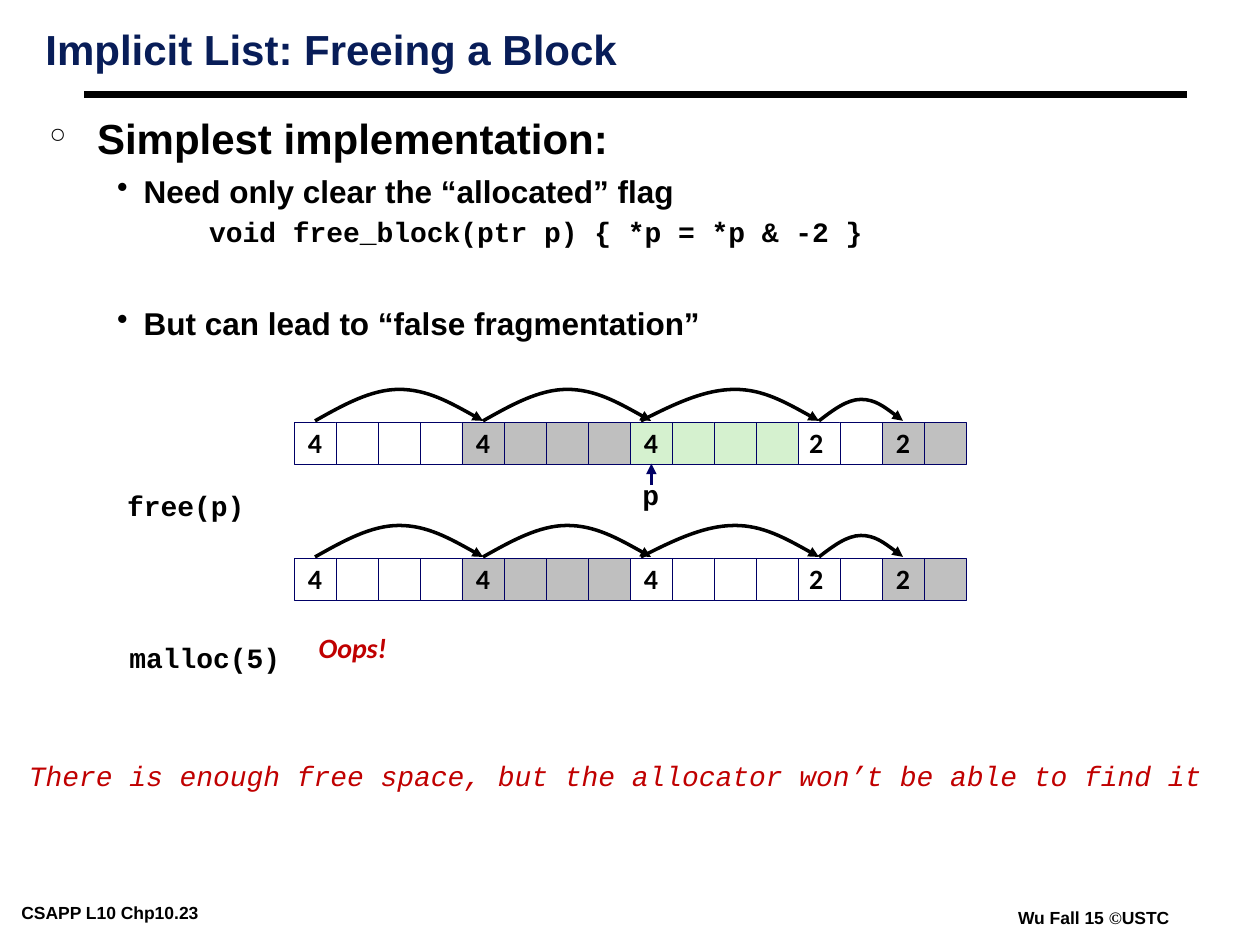
from dataclasses import dataclass

import pptx
import pptx.dml.color
import pptx.enum.shapes
import pptx.enum.text
import pptx.oxml
import pptx.oxml.ns
import pptx.oxml.xmlchemy
import pptx.util

Inches = pptx.util.Inches
Pt = pptx.util.Pt
RGBColor = pptx.dml.color.RGBColor
PP_ALIGN = pptx.enum.text.PP_ALIGN
MSO_ANCHOR = pptx.enum.text.MSO_ANCHOR
OxmlElement = pptx.oxml.xmlchemy.OxmlElement
qn = pptx.oxml.ns.qn


@dataclass(frozen=True)
class Theme:
    black: str = "000000"
    navy: str = "081D58"
    outline: str = "000066"
    red: str = "C00000"
    free: str = "FFFFFF"
    taken: str = "BFBFBF"
    last: str = "C0C0C0"
    freeing: str = "D5F1CF"
    sans: str = "Arial"
    mono: str = "Courier New"
    label: str = "Calibri"
    serif: str = "Times New Roman"
    heading: int = 24
    point: int = 18
    normal: int = 16
    footer: int = 10


THEME = Theme()
CELL = 1 / 3
ROW_LEFT = 7 / 3
TIGHT = (0.07, 0.03)
LOOSE = (0.1, 0.05)


def rgb(value):
    return RGBColor.from_string(value)


def style_run(run, font, size, color=THEME.black, bold=True, italic=False):
    run.font.name = font
    run.font.size = Pt(size)
    run.font.color.rgb = rgb(color)
    run.font.bold = bold
    run.font.italic = italic


def set_frame(frame, insets, wrap=False, anchor=MSO_ANCHOR.TOP):
    frame.margin_left = frame.margin_right = Inches(insets[0])
    frame.margin_top = frame.margin_bottom = Inches(insets[1])
    frame.auto_size = pptx.enum.text.MSO_AUTO_SIZE.NONE
    frame.word_wrap = wrap
    frame.vertical_anchor = anchor


def write_line(frame, text, font, size, spacing=1.0, align=PP_ALIGN.CENTER, **look):
    frame.text = text
    paragraph = frame.paragraphs[0]
    paragraph.alignment = align
    paragraph.line_spacing = spacing
    style_run(paragraph.runs[0], font, size, **look)


def add_label(shapes, box, text, font, size=THEME.normal, insets=LOOSE, **look):
    label = shapes.add_textbox(*map(Inches, box))
    set_frame(label.text_frame, insets)
    write_line(label.text_frame, text, font, size, **look)
    return label


def add_arrowhead(line):
    head = OxmlElement("a:tailEnd")
    head.set("type", "triangle")
    line._get_or_add_ln().append(head)


def add_line(shapes, start, end, color, width, arrow=False):
    connector = shapes.add_connector(
        pptx.enum.shapes.MSO_CONNECTOR.STRAIGHT, *map(Inches, start + end))
    connector.line.color.rgb = rgb(color)
    connector.line.width = Pt(width)
    if arrow:
        add_arrowhead(connector.line)
    connector._element.spPr.append(OxmlElement("a:effectLst"))


def add_cell(shapes, left, top, color, size_text=""):
    cell = shapes.add_shape(
        pptx.enum.shapes.MSO_SHAPE.RECTANGLE, *map(Inches, (left, top, CELL, CELL)))
    cell.shadow.inherit = False
    cell.fill.solid()
    cell.fill.fore_color.rgb = rgb(color)
    cell.line.color.rgb = rgb(THEME.outline)
    cell.line.width = Pt(0.25)
    if size_text:
        set_frame(cell.text_frame, LOOSE, anchor=MSO_ANCHOR.MIDDLE)
        write_line(cell.text_frame, size_text, THEME.label, THEME.normal, 0.98)


def add_hop(shapes, start, end, apex, base, rise):
    top, middle = base - rise, base - rise / 2
    up, down = (apex - start) / 3, (end - apex) / 3
    points = [(start + up, middle), (apex - up, top), (apex, top),
              (apex + down, top), (end - down, middle), (end, base)]
    builder = shapes.build_freeform(Inches(start), Inches(base))
    builder.add_line_segments([(Inches(x), Inches(y)) for x, y in points], close=False)
    hop = builder.convert_to_shape()
    outline = next(hop._element.iter(qn("a:path")))
    corners = outline.findall(qn("a:lnTo"))
    for first in range(0, len(corners), 3):
        curve = OxmlElement("a:cubicBezTo")
        outline.append(curve)
        for corner in corners[first:first + 3]:
            curve.append(corner[0])
            outline.remove(corner)
    hop.shadow.inherit = False
    hop.fill.background()
    hop.line.color.rgb = rgb(THEME.black)
    hop.line.width = Pt(2)
    add_arrowhead(hop.line)


def add_heap(shapes, top, third_color):
    blocks = [(4, THEME.free), (4, THEME.taken), (4, third_color),
              (2, THEME.free), (2, THEME.last)]
    base = top - 0.01
    left = ROW_LEFT
    for number, (length, color) in enumerate(blocks):
        boxed = number != 3
        for index in range(length):
            size_text = str(length) if boxed and index == 0 else ""
            add_cell(shapes, left + index * CELL, top, color, size_text)
        if not boxed:
            add_label(shapes, (left - 0.01, base, 0.31, 0.36), str(length),
                      THEME.label, spacing=0.98)
        left += length * CELL
    center = ROW_LEFT + CELL / 2
    for number, (length, _) in enumerate(blocks[:-1]):
        end = center + length * CELL
        start = center - 0.08 if number == 2 else center
        rise = 0.25 if length == 4 else 0.17
        add_hop(shapes, start, end, end - length * CELL / 2, base, rise)
        center = end


def add_bullet(paragraph, mark):
    properties = paragraph._p.get_or_add_pPr()
    ns = pptx.oxml.ns.nsdecls("a")
    for bullet_part in (f'<a:buClr {ns}><a:srgbClr val="{THEME.black}"/></a:buClr>',
                        f'<a:buChar {ns} char="{mark}"/>'):
        properties.append(pptx.oxml.parse_xml(bullet_part))


def add_points(shapes):
    points = [
        ("Simplest implementation:", "°", 0.38, 0.38, 0.75, 0, THEME.sans, THEME.heading),
        ("Need only clear the “allocated” flag", "•", 0.75, 0.21, 0.85, 9,
         THEME.sans, THEME.point),
        ("void free_block(ptr p) { *p = *p & -2 }", "", 1.27, 0, 1.01, 2,
         THEME.mono, THEME.normal),
        ("But can lead to “false fragmentation”", "•", 0.75, 0.21, 0.85, 35.5,
         THEME.sans, THEME.point),
    ]
    frame = shapes.add_textbox(*map(Inches, (0.32, 0.96, 9.09, 4.75))).text_frame
    set_frame(frame, TIGHT, wrap=True)
    frame.text = "\n".join(point[0] for point in points)
    for paragraph, point in zip(frame.paragraphs, points):
        _, mark, margin, hang, spacing, before, font, size = point
        properties = paragraph._p.get_or_add_pPr()
        properties.set("marL", str(int(Inches(margin))))
        properties.set("indent", str(-int(Inches(hang))))
        if mark:
            add_bullet(paragraph, mark)
        paragraph.line_spacing = spacing
        paragraph.space_before = Pt(before)
        style_run(paragraph.runs[0], font, size)


def add_title(slide):
    title = slide.shapes.title
    title.left, title.top, title.width, title.height = map(Inches, (0.29, 0.21, 7.87, 0.63))
    set_frame(title.text_frame, TIGHT, wrap=True)
    write_line(title.text_frame, "Implicit List: Freeing a Block", THEME.sans,
               THEME.heading, 0.87, PP_ALIGN.LEFT, color=THEME.navy)
    add_line(slide.shapes, (0.67, 0.75), (9.42, 0.75), THEME.black, 4.5)


def add_footers(shapes):
    look = dict(font=THEME.sans, size=THEME.footer, insets=TIGHT, align=PP_ALIGN.LEFT)
    add_label(shapes, (0.1, 7.13, 2.1, 0.22), "CSAPP L10 Chp10.23", **look)
    credit = add_label(shapes, (8.01, 7.17, 1.38, 0.22), "Wu Fall 15 ", **look)
    for text, font in (("©", THEME.serif), ("USTC", THEME.sans)):
        run = credit.text_frame.paragraphs[0].add_run()
        run.text = text
        style_run(run, font, THEME.footer)


def main():
    deck = pptx.Presentation()
    deck.slide_width, deck.slide_height = Inches(10), Inches(7.5)
    slide = deck.slides.add_slide(deck.slide_layouts[5])
    add_footers(slide.shapes)
    add_title(slide)
    add_points(slide.shapes)
    before_free, after_free, failed_malloc = (
        slide.shapes.add_group_shape().shapes for _ in range(3))
    add_heap(before_free, 3.35, THEME.freeing)
    add_label(after_free, (0.91, 3.85, 1.13, 0.35), "free(p)", THEME.mono, spacing=0.94)
    add_label(after_free, (5, 3.76, 0.33, 0.35), "p", THEME.mono, spacing=0.94)
    add_line(after_free, (5.17, 3.85), (5.17, 3.68), THEME.outline, 2, arrow=True)
    add_heap(after_free, 4.43, THEME.free)
    add_label(failed_malloc, (0.93, 5.06, 1.39, 0.35), "malloc(5)", THEME.mono, spacing=0.94)
    add_label(failed_malloc, (2.43, 4.95, 0.74, 0.37), "Oops!", THEME.label,
              spacing=1.02, color=THEME.red, italic=True)
    add_label(slide.shapes, (0.13, 5.97, 9.51, 0.64),
              "There is enough free space, but the allocator won’t be able to find it",
              THEME.mono, color=THEME.red, bold=False, italic=True)
    deck.save("out.pptx")


if __name__ == "__main__":
    main()
